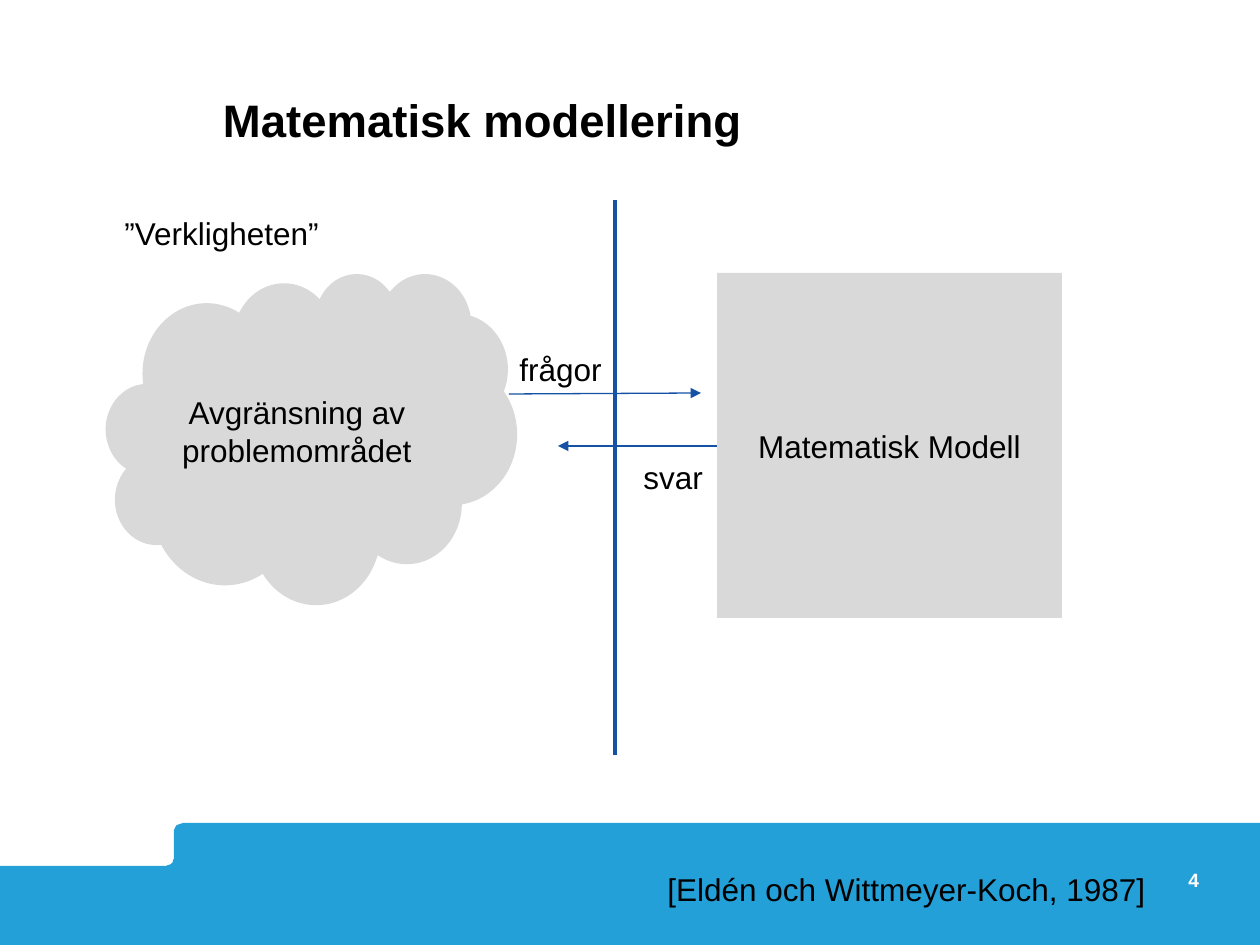
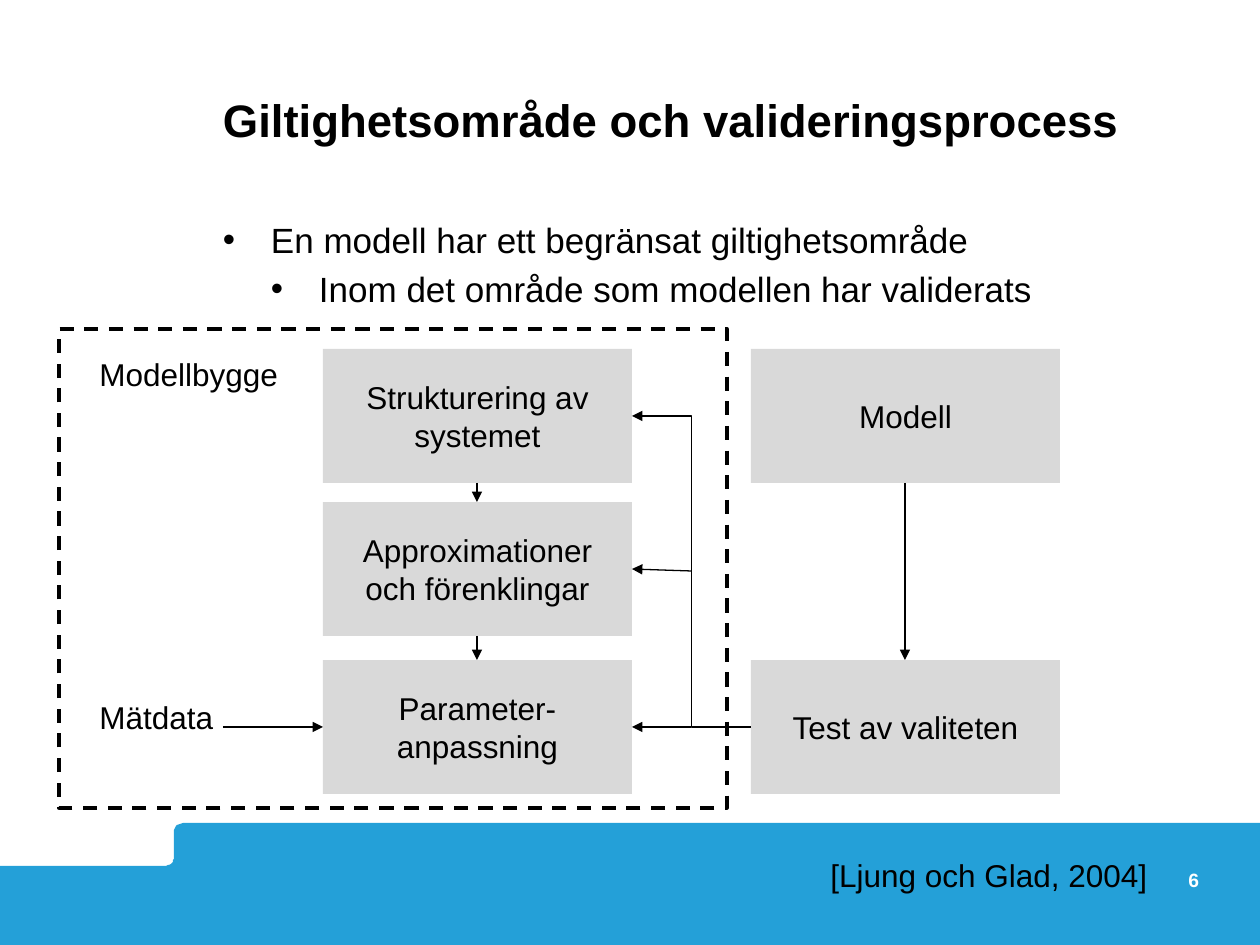
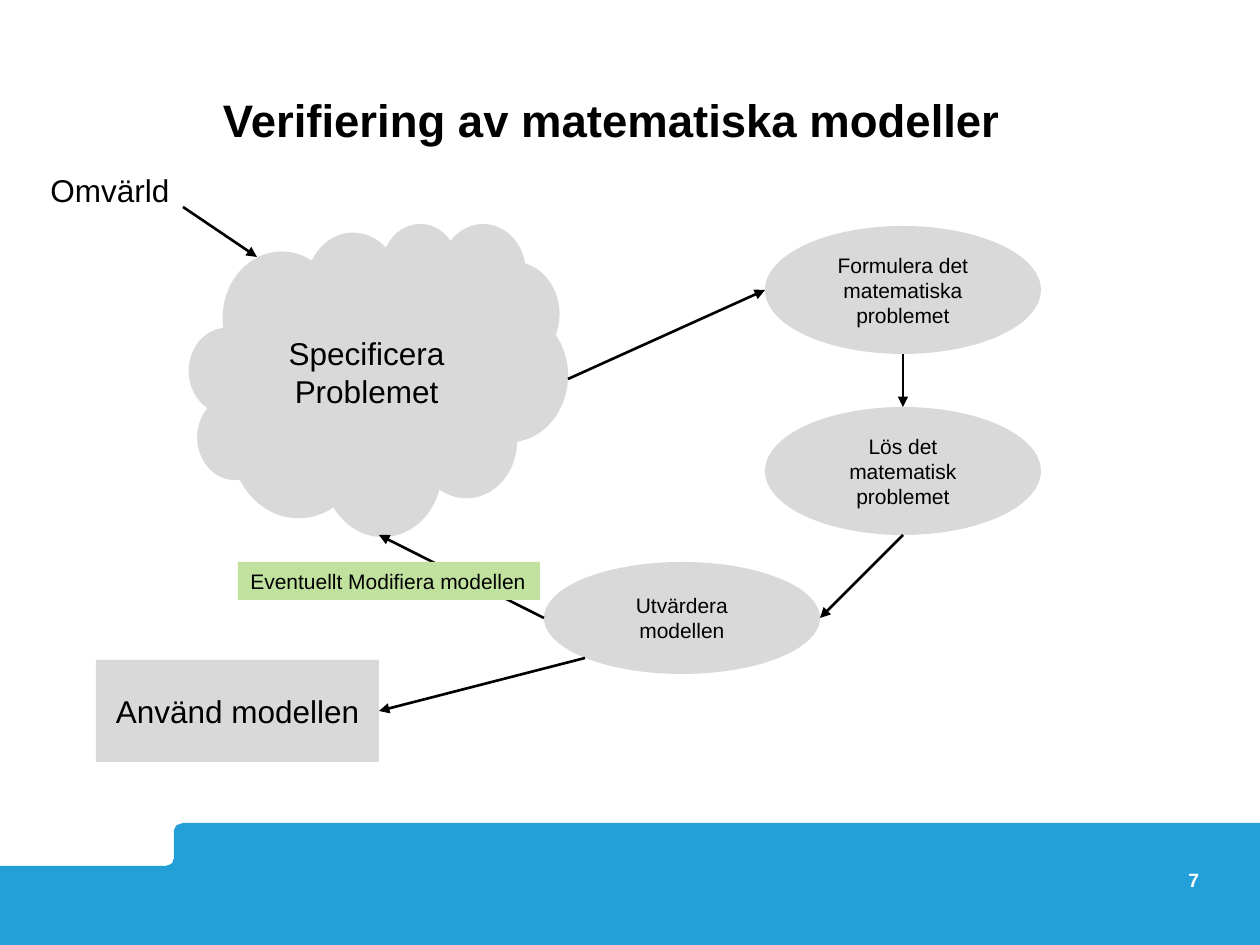
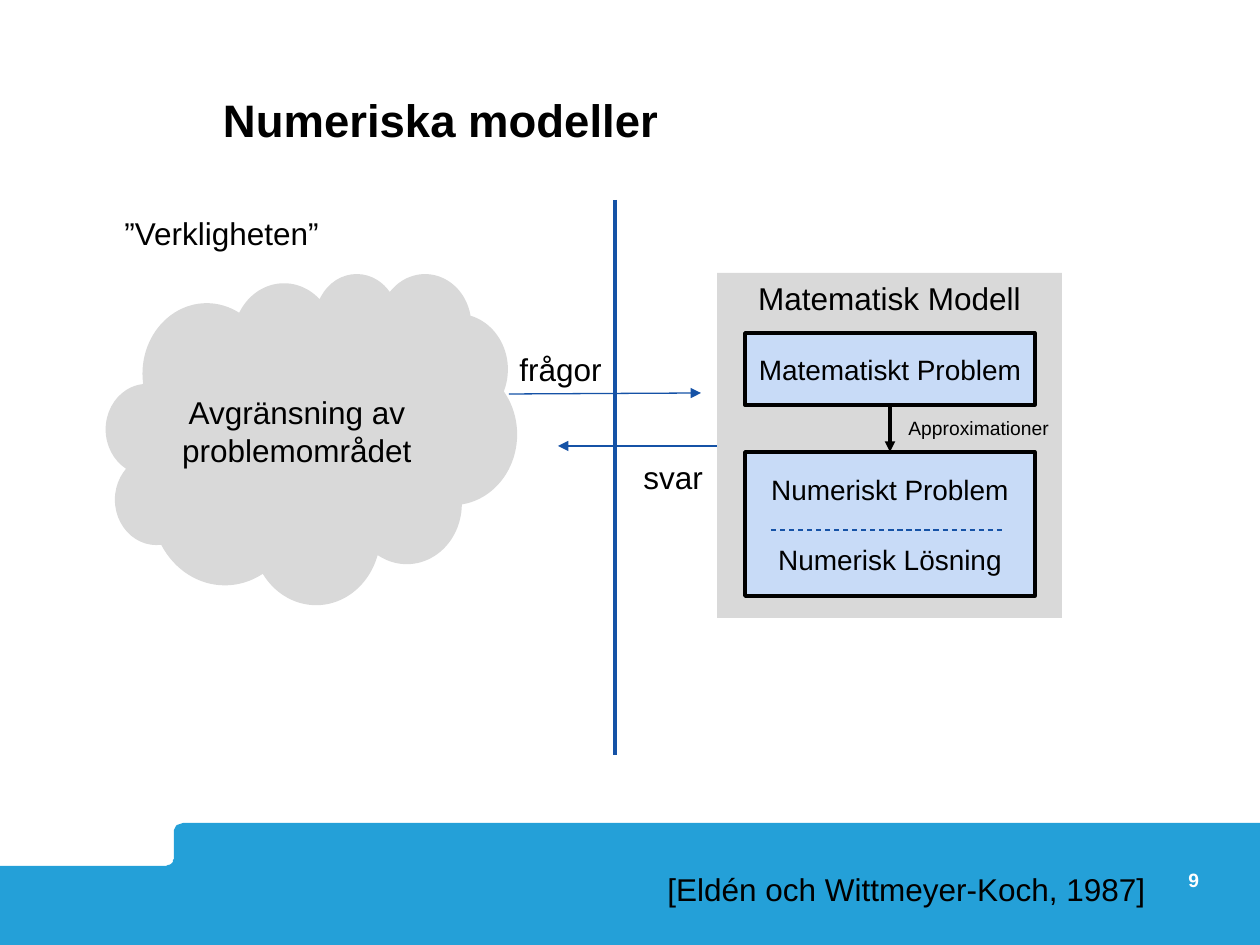
from dataclasses import dataclass

import pptx
import pptx.util
from pptx.dml.color import RGBColor
from pptx.enum.dml import MSO_LINE
from pptx.enum.shapes import MSO_CONNECTOR, MSO_SHAPE
from pptx.enum.text import MSO_ANCHOR, MSO_AUTO_SIZE, PP_ALIGN
from pptx.oxml.ns import qn
from lxml import etree

EMU_PER_PX = 914400 / 126
SLIDE_SIZE = (1260, 945)
FONT = "Arial"
TITLE_ONLY = 5

BLACK = RGBColor(0x00, 0x00, 0x00)
WHITE = RGBColor(0xFF, 0xFF, 0xFF)
BAND_BLUE = RGBColor(0x24, 0xA0, 0xD8)
DARK_BLUE = RGBColor(0x15, 0x52, 0xA6)
PALE_BLUE = RGBColor(0xC8, 0xDB, 0xF7)
GRAY = RGBColor(0xD9, 0xD9, 0xD9)
GREEN = RGBColor(0xC1, 0xE1, 0x9E)

TITLE_BOX = (223, 55, 956, 92)
NUMBER_BOX = (1126, 868, 73, 50)
BULLET_INDENT = 48
BULLET_GAP = 4


@dataclass
class Node:
    """A filled or outlined shape; each line of text is a paragraph."""
    preset: MSO_SHAPE
    box: tuple
    text: str = ""
    size: int = 18
    fill: RGBColor | None = GRAY
    outline: float = 0
    dash: bool = False
    anchor: MSO_ANCHOR = MSO_ANCHOR.MIDDLE
    align: PP_ALIGN = PP_ALIGN.CENTER
    wrap: bool = True
    gap: int = 0


@dataclass
class Label:
    box: tuple
    text: str
    size: int = 18
    align: PP_ALIGN = PP_ALIGN.LEFT
    wrap: bool = False


@dataclass
class Line:
    start: tuple
    end: tuple
    color: RGBColor = BLACK
    width: float = 0.75
    arrow: bool = True
    dash: bool = False
    kind: MSO_CONNECTOR = MSO_CONNECTOR.STRAIGHT


@dataclass
class Bullets:
    box: tuple
    entries: list
    size: int = 20


RECT, OVAL, CLOUD = MSO_SHAPE.RECTANGLE, MSO_SHAPE.OVAL, MSO_SHAPE.CLOUD


def reality_and_model(model_anchor):
    """The scene with reality on the left and the model on the right."""
    return [
        Line((615, 200), (615, 755), DARK_BLUE, 2, arrow=False),
        Node(CLOUD, (106, 273, 411, 331), "Avgränsning av problemområdet"),
        Label((112, 208, 222, 50), "”Verkligheten”"),
        Node(RECT, (717, 273, 345, 345), "Matematisk Modell", anchor=model_anchor),
        Line((509, 394), (701, 393), DARK_BLUE),
        Label((507, 344, 108, 50), "frågor"),
        Line((717, 446), (558, 446), DARK_BLUE),
        Label((631, 452, 86, 50), "svar"),
        Label((655, 864, 508, 50), "[Eldén och Wittmeyer-Koch, 1987]"),
    ]


def validation_process():
    width, height = 309, 134
    build_x, test_x = 323, 751
    top, middle, bottom = 349, 502, 660
    right = build_x + width
    center = build_x + width // 2
    test_center = test_x + width // 2
    feedback_x = (right + test_x) // 2
    half = height // 2
    steps = [
        (build_x, top, "Strukturering av systemet"),
        (build_x, middle, "Approximationer och förenklingar"),
        (build_x, bottom, "Parameter-anpassning"),
        (test_x, top, "Modell"),
        (test_x, bottom, "Test av valiteten"),
    ]
    return [
        Bullets((223, 218, 956, 562), [
            (0, "En modell har ett begränsat giltighetsområde"),
            (1, "Inom det område som modellen har validerats"),
        ]),
        *(Node(RECT, (x, y, width, height), text) for x, y, text in steps),
        Node(RECT, (59, 329, 668, 479), fill=None, outline=2, dash=True),
        Label((87, 349, 205, 50), "Modellbygge"),
        Label((87, 692, 140, 50), "Mätdata"),
        Line((223, bottom + half), (build_x, bottom + half)),
        Line((center, top + height), (center, middle)),
        Line((center, middle + height), (center, bottom)),
        Line((test_center, top + height), (test_center, bottom)),
        Line((test_x, bottom + half), (right, top + half), kind=MSO_CONNECTOR.ELBOW),
        Line((feedback_x, bottom + half), (right, bottom + half)),
        Line((feedback_x, middle + half + 2), (right, middle + half)),
        Label((818, 850, 345, 50), "[Ljung och Glad, 2004]"),
    ]


VERIFICATION = [
    Node(CLOUD, (189, 223, 379, 313)),
    Label((38, 165, 146, 50), "Omvärld"),
    Line((183, 207), (257, 257), width=1.5),
    Label((257, 328, 219, 89), "Specificera Problemet", align=PP_ALIGN.CENTER, wrap=True),
    Line((568, 379), (765, 290), width=1.5),
    Node(OVAL, (765, 226, 276, 128), "Formulera det matematiska problemet", 12),
    Node(OVAL, (765, 407, 276, 128), "Lös det matematisk problemet", 12),
    Line((903, 354), (903, 407), width=1.5),
    Node(OVAL, (544, 562, 276, 112), "Utvärdera modellen", 12),
    Line((903, 535), (820, 618), width=1.5),
    Line((544, 618), (379, 535), width=1.5),
    Node(RECT, (238, 562, 302, 38), "Eventuellt Modifiera modellen", 12, GREEN,
         anchor=MSO_ANCHOR.TOP, align=PP_ALIGN.LEFT, wrap=False),
    Line((585, 658), (379, 711), width=1.5),
    Node(RECT, (96, 660, 283, 102), "Använd modellen"),
]

NUMERICAL_PARTS = [
    Node(RECT, (745, 452, 290, 144), "Numeriskt Problem\nNumerisk Lösning", 16,
         PALE_BLUE, outline=2, gap=21),
    Line((771, 530), (1003, 530), DARK_BLUE, arrow=False, dash=True),
    Node(RECT, (745, 333, 290, 72), "Matematiskt Problem", 16, PALE_BLUE, outline=2),
    Line((890, 405), (890, 452), width=2),
    Label((896, 410, 168, 36), "Approximationer", 11),
]

SLIDES = [
    (4, "Matematisk modellering", reality_and_model(MSO_ANCHOR.MIDDLE)),
    (6, "Giltighetsområde och valideringsprocess", validation_process()),
    (7, "Verifiering av matematiska modeller", VERIFICATION),
    (9, "Numeriska modeller", reality_and_model(MSO_ANCHOR.TOP) + NUMERICAL_PARTS),
]


def px(*lengths):
    return [pptx.util.Emu(round(length * EMU_PER_PX)) for length in lengths]


def add_run(paragraph, text, size, color=BLACK, bold=False):
    run = paragraph.add_run()
    run.text = text
    run.font.name = FONT
    run.font.size = pptx.util.Pt(size)
    run.font.color.rgb = color
    run.font.bold = bold


def clear_margins(frame):
    frame.margin_left = frame.margin_right = frame.margin_top = frame.margin_bottom = 0


def write_lines(frame, text, size, align, gap=0):
    for index, line in enumerate(text.split("\n")):
        paragraph = frame.add_paragraph() if index else frame.paragraphs[0]
        paragraph.alignment = align
        if index:
            paragraph.space_before = pptx.util.Pt(gap)
        add_run(paragraph, line, size)


def style_line(line, color, width, dash):
    line.color.rgb = color
    line.width = pptx.util.Pt(width)
    if dash:
        line.dash_style = MSO_LINE.DASH


def add_node(slide, node):
    shape = slide.shapes.add_shape(node.preset, *px(*node.box))
    shape.shadow.inherit = False
    if node.fill is None:
        shape.fill.background()
    else:
        shape.fill.solid()
        shape.fill.fore_color.rgb = node.fill
    if node.outline:
        style_line(shape.line, BLACK, node.outline, node.dash)
    else:
        shape.line.fill.background()
    if node.text:
        frame = shape.text_frame
        frame.word_wrap = node.wrap
        frame.vertical_anchor = node.anchor
        write_lines(frame, node.text, node.size, node.align, node.gap)


def add_label(slide, label):
    frame = slide.shapes.add_textbox(*px(*label.box)).text_frame
    frame.word_wrap = label.wrap
    frame.auto_size = MSO_AUTO_SIZE.SHAPE_TO_FIT_TEXT
    write_lines(frame, label.text, label.size, label.align)


def add_line(slide, line):
    connector = slide.shapes.add_connector(line.kind, *px(*line.start, *line.end))
    style_line(connector.line, line.color, line.width, line.dash)
    properties = connector.element.spPr
    if line.arrow:
        etree.SubElement(properties.get_or_add_ln(), qn("a:tailEnd"), type="triangle")
    etree.SubElement(properties, qn("a:effectLst"))


def add_bullets(slide, bullets):
    frame = slide.shapes.add_textbox(*px(*bullets.box)).text_frame
    frame.word_wrap = True
    clear_margins(frame)
    indent = px(BULLET_INDENT)[0]
    for index, (level, text) in enumerate(bullets.entries):
        paragraph = frame.add_paragraph() if index else frame.paragraphs[0]
        paragraph.level = level
        paragraph.space_before = pptx.util.Pt(BULLET_GAP)
        properties = paragraph._p.get_or_add_pPr()
        properties.set("marL", str(indent * (level + 1)))
        properties.set("indent", str(-indent))
        etree.SubElement(properties, qn("a:buFont"), typeface=FONT)
        etree.SubElement(properties, qn("a:buChar"), char="•")
        add_run(paragraph, text, bullets.size)


def curve(start, control_1, control_2, end, steps=8):
    """Points along a cubic Bézier curve."""
    points = []
    for step in range(steps + 1):
        t = step / steps
        weights = ((1 - t) ** 3, 3 * t * (1 - t) ** 2, 3 * t * t * (1 - t), t ** 3)
        points.append(tuple(
            sum(weight * value for weight, value in zip(weights, values))
            for values in zip(start, control_1, control_2, end)))
    return points


def add_band_to_layout(slide):
    """Build the stepped footer band and move it to the slide's layout."""
    points = [(1260, 823), (1260, 948), (0, 948), (0, 866),
              *curve((165, 866), (169, 866), (173, 863), (174, 859)),
              *curve((174, 835), (174, 828), (174, 823), (188, 823))]
    builder = slide.shapes.build_freeform(188, 823, scale=EMU_PER_PX)
    builder.add_line_segments(points, close=True)
    band = builder.convert_to_shape()
    band.shadow.inherit = False
    band.fill.solid()
    band.fill.fore_color.rgb = BAND_BLUE
    band.line.fill.background()
    slide.slide_layout.shapes.element.insert(2, band.element)


def set_title(slide, text):
    title = slide.shapes.title
    title.left, title.top, title.width, title.height = px(*TITLE_BOX)
    frame = title.text_frame
    clear_margins(frame)
    frame.word_wrap = True
    frame.auto_size = MSO_AUTO_SIZE.NONE
    frame.vertical_anchor = MSO_ANCHOR.BOTTOM
    paragraph = frame.paragraphs[0]
    paragraph.alignment = PP_ALIGN.LEFT
    paragraph.line_spacing = pptx.util.Pt(30)
    add_run(paragraph, text, 26, bold=True)


def add_number(slide, number):
    frame = slide.shapes.add_textbox(*px(*NUMBER_BOX)).text_frame
    clear_margins(frame)
    frame.word_wrap = True
    frame.paragraphs[0].alignment = PP_ALIGN.RIGHT
    add_run(frame.paragraphs[0], str(number), 11, WHITE, bold=True)


DRAW = {Node: add_node, Label: add_label, Line: add_line, Bullets: add_bullets}


def main():
    presentation = pptx.Presentation()
    presentation.slide_width, presentation.slide_height = px(*SLIDE_SIZE)
    layout = presentation.slide_layouts[TITLE_ONLY]
    for index, (number, title, items) in enumerate(SLIDES):
        slide = presentation.slides.add_slide(layout)
        if index == 0:
            add_band_to_layout(slide)
        set_title(slide, title)
        add_number(slide, number)
        for item in items:
            DRAW[type(item)](slide, item)
    presentation.save("out.pptx")


if __name__ == "__main__":
    main()
